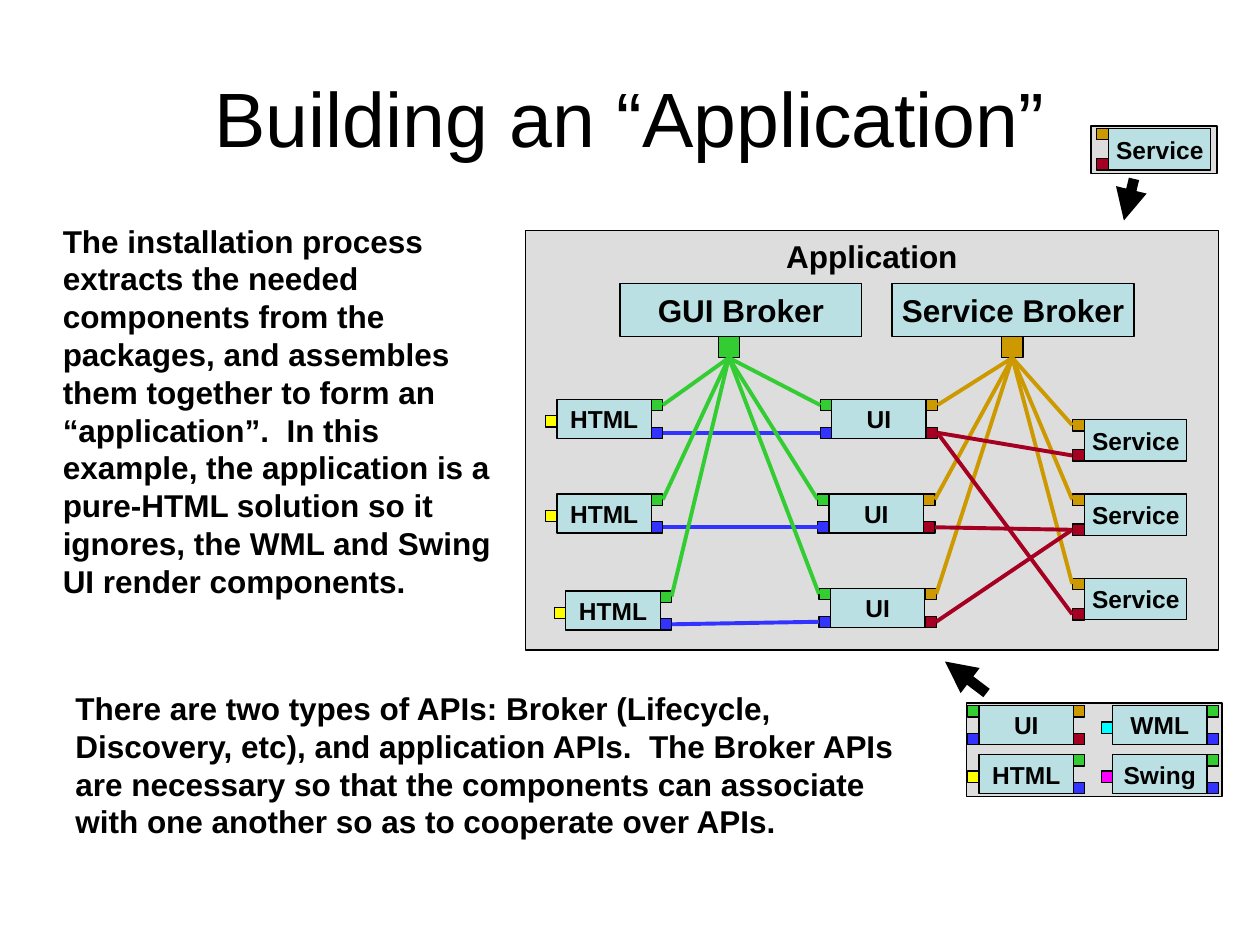
from lxml import etree
from pptx import Presentation
from pptx.dml.color import RGBColor
from pptx.enum.shapes import MSO_CONNECTOR, MSO_SHAPE
from pptx.enum.text import MSO_ANCHOR, PP_ALIGN
from pptx.oxml.ns import qn
from pptx.util import Inches, Pt

RECT = MSO_SHAPE.RECTANGLE
STRAIGHT = MSO_CONNECTOR.STRAIGHT
CENTER, LEFT = PP_ALIGN.CENTER, PP_ALIGN.LEFT
TOP, MIDDLE = MSO_ANCHOR.TOP, MSO_ANCHOR.MIDDLE

BLACK = RGBColor(0x00, 0x00, 0x00)
GRAY = RGBColor(0xDD, 0xDD, 0xDD)
PALE = RGBColor(0xBB, 0xE0, 0xE3)
GREEN = RGBColor(0x33, 0xCC, 0x33)
BLUE = RGBColor(0x33, 0x33, 0xFF)
GOLD = RGBColor(0xCC, 0x99, 0x00)
RED = RGBColor(0xA5, 0x00, 0x21)
YELLOW = RGBColor(0xFF, 0xFF, 0x00)
CYAN = RGBColor(0x00, 0xFF, 0xFF)
MAGENTA = RGBColor(0xFF, 0x00, 0xFF)

SIDE_BOTTOM, SIDE_LEFT, SIDE_RIGHT = 2, 1, 3
MIDDLE_PORT_DROP = 0.13


class Diagram:
    font = "Arial"

    def __init__(self, s):
        self.s = s
        self.shapes = s.shapes

    def start_group(self):
        """Send the following shapes and lines to a new group."""
        self.shapes = self.s.shapes.add_group_shape().shapes

    def set_text(self, sp, text, size, bold=True, align=CENTER, anchor=MIDDLE, wrap=False):
        tf = sp.text_frame
        tf.text = text
        tf.word_wrap = wrap
        tf.vertical_anchor = anchor
        p = tf.paragraphs[0]
        p.alignment = align
        f = p.runs[0].font
        f.name, f.size, f.bold = self.font, Pt(size), bold
        f.color.rgb = BLACK

    def title(self, text, x, y, w, h):
        sp = self.s.shapes.title
        sp.left, sp.top, sp.width, sp.height = map(Inches, (x, y, w, h))
        self.set_text(sp, text, 44, bold=False, wrap=True)

    def text(self, text, x, y, w, h):
        sp = self.s.shapes.add_textbox(*map(Inches, (x, y, w, h)))
        self.set_text(sp, text, 18, align=LEFT, anchor=TOP, wrap=True)

    def box(self, x, y, w, h, fill, text=None, size=18, anchor=MIDDLE):
        sp = self.shapes.add_shape(RECT, *map(Inches, (x, y, w, h)))
        sp.shadow.inherit = False
        sp.fill.solid()
        sp.fill.fore_color.rgb = fill
        sp.line.color.rgb = BLACK
        sp.line.width = Pt(0.75)
        if text:
            self.set_text(sp, text, size, anchor=anchor)
        return sp

    def component(self, text, x, y, ports, w=0.75, h=0.31, port_w=0.09):
        """Draw a box with ports; return the ports by colour."""
        self.box(x, y, w, h, PALE, text, 14)
        port_h = 0.09
        columns = {"left": x - port_w, "right": x + w}
        rows = {"top": y, "middle": y + MIDDLE_PORT_DROP, "bottom": y + h - port_h}
        return {color: self.box(columns[side], rows[row], port_w, port_h, color)
                for side, row, color in ports}

    def ui(self, x, y):
        return self.component("UI", x, y, [
            ("left", "bottom", BLUE), ("right", "bottom", RED),
            ("right", "top", GOLD), ("left", "top", GREEN)])

    def renderer(self, text, x, y, color):
        return self.component(text, x, y, [
            ("right", "bottom", BLUE), ("left", "middle", color),
            ("right", "top", GREEN)])

    def service(self, x, y):
        return self.component("Service", x, y, [
            ("left", "bottom", RED), ("left", "top", GOLD)], 0.81, 0.33, 0.1)

    def broker(self, text, x, port_x, color):
        self.box(x, 2.25, 1.92, 0.42, PALE, text)
        return self.box(port_x, 2.67, 0.17, 0.17, color)

    def line(self, color, width, x1=0, y1=0, x2=0, y2=0):
        c = self.shapes.add_connector(STRAIGHT, *map(Inches, (x1, y1, x2, y2)))
        etree.SubElement(c._element.spPr, qn("a:effectLst"))
        c.line.color.rgb = color
        c.line.width = Pt(width)
        return c

    def link(self, color, start, start_side, end, end_side):
        c = self.line(color, 2.25)
        c.begin_connect(start, start_side)
        c.end_connect(end, end_side)

    def arrow(self, x1, y1, x2, y2):
        c = self.line(BLACK, 6, x1, y1, x2, y2)
        ln = c._element.spPr.find(qn("a:ln"))
        etree.SubElement(ln, qn("a:tailEnd"), type="triangle")


def main():
    prs = Presentation()
    prs.slide_width, prs.slide_height = Inches(10), Inches(7.5)
    d = Diagram(prs.slides.add_slide(prs.slide_layouts[5]))

    d.title("Building an “Application”", 0.5, 0.3, 9, 1.25)
    d.arrow(9, 1.42, 8.92, 1.75)
    d.text("The installation process extracts the needed components from the "
           "packages, and assembles them together to form an “application”.  "
           "In this example, the application is a pure-HTML solution so it "
           "ignores, the WML and Swing UI render components.", 0.4, 1.71, 3.6, 3.1)
    d.text("There are two types of APIs: Broker (Lifecycle, Discovery, etc), "
           "and application APIs.  The Broker APIs are necessary so that the "
           "components can associate with one another so as to cooperate over "
           "APIs.", 0.5, 5.42, 6.92, 1.3)

    # Service package
    d.start_group()
    d.box(8.66, 1, 1, 0.38, GRAY)
    d.service(8.8, 1.02)

    # UI package
    d.start_group()
    d.box(7.67, 5.58, 2.03, 0.74, GRAY)
    d.ui(7.77, 5.6)
    for text, x, y, color in [("WML", 8.83, 5.6, CYAN), ("Swing", 8.83, 5.99, MAGENTA),
                              ("HTML", 7.77, 5.99, YELLOW)]:
        d.renderer(text, x, y, color)

    # Application
    d.start_group()
    d.arrow(7.83, 5.5, 7.5, 5.25)
    d.box(4.17, 1.83, 5.5, 3.33, GRAY, "Application", anchor=TOP)
    service_broker = d.broker("Service Broker", 7.08, 7.95, GOLD)
    gui_broker = d.broker("GUI Broker", 4.92, 5.7, GREEN)
    services = [d.service(8.61, y) for y in (3.33, 3.92, 4.59)]
    uis = [d.ui(x, y) for x, y in [(6.6, 3.17), (6.58, 3.92), (6.59, 4.67)]]
    pages = [d.renderer("HTML", x, y, YELLOW)
             for x, y in [(4.42, 3.17), (4.42, 3.92), (4.49, 4.69)]]

    for service, ui, page in zip(services, uis, pages):
        d.link(GOLD, service_broker, SIDE_BOTTOM, service[GOLD], SIDE_LEFT)
        d.link(GOLD, service_broker, SIDE_BOTTOM, ui[GOLD], SIDE_RIGHT)
        d.link(GREEN, gui_broker, SIDE_BOTTOM, ui[GREEN], SIDE_LEFT)
        d.link(GREEN, gui_broker, SIDE_BOTTOM, page[GREEN], SIDE_RIGHT)
        d.link(BLUE, page[BLUE], SIDE_RIGHT, ui[BLUE], SIDE_LEFT)
    for i, j in [(0, 0), (1, 1), (1, 2), (2, 0)]:
        d.link(RED, services[i][RED], SIDE_LEFT, uis[j][RED], SIDE_RIGHT)

    prs.save("out.pptx")


if __name__ == "__main__":
    main()
